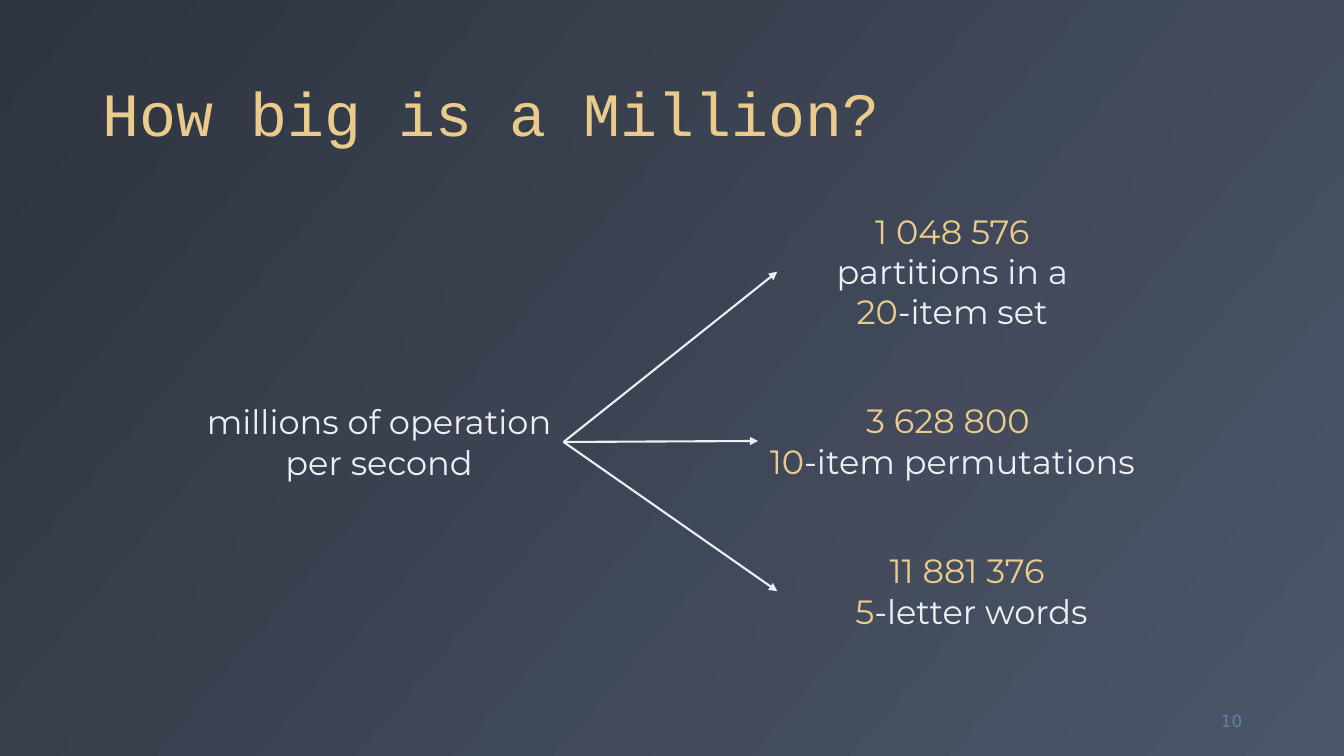
from dataclasses import dataclass

from lxml.etree import SubElement
from pptx import Presentation
from pptx.dml.color import RGBColor as Rgb
from pptx.enum.shapes import MSO_CONNECTOR as Connector
from pptx.enum.text import MSO_ANCHOR as Anchor, MSO_AUTO_SIZE as AutoSize, PP_ALIGN as Align
from pptx.oxml.ns import qn
from pptx.util import Inches, Pt


@dataclass(frozen=True)
class Theme:
    dark: str = "2E3440"
    slate: str = "4C5669"
    gold: str = "EBCB8B"
    light: str = "ECEFF3"
    blue: str = "5E81AC"
    title_font: str = "Courier New"
    body_font: str = "Montserrat"
    number_font: str = "DejaVu Sans"
    title_size: int = 44
    body_size: int = 24
    number_size: int = 12
    line_width: float = 1.5


THEME = Theme()
GOLD, LIGHT = THEME.gold, THEME.light
BREAK = None  # a line break inside a paragraph

# Content: each box is (left, top, width, height) and paragraphs of (text, colour) runs
TITLE = "How big is a Million?"
TITLE_FRAME = (0.92, 0.18, 11.5, 1.36)
PAGE_NUMBER = "10"
NUMBER_FRAME = (11.59, 6.95, 0.83, 0.4)
SPEED = (
    (1.93, 3.93, 3.66, 0.91),
    [[("millions of operation", LIGHT)], [("per second", LIGHT)]],
)
EXAMPLES = [
    (
        (7.71, 2.04, 3.47, 1.31),
        [
            [("1 048 576", GOLD)],
            [("partitions in a", LIGHT), BREAK, ("20", GOLD), ("-item set", LIGHT)],
        ],
    ),
    (
        (7.52, 3.92, 3.85, 0.91),
        [[("3 628 800 ", GOLD)], [("10", GOLD), ("-item permutations", LIGHT)]],
    ),
    (
        (7.71, 5.41, 3.85, 0.91),
        [[("11 881 376 ", GOLD)], [("5", GOLD), ("-letter words", LIGHT)]],
    ),
]


def add_span(para, text, font, size, color):
    span = para.add_run()
    span.text = text
    span.font.name = font
    span.font.size = Pt(size)
    span.font.color.rgb = Rgb.from_string(color)


def add_label(page, frame, paragraphs, wrap=True):
    box = page.shapes.add_textbox(*map(Inches, frame))
    text = box.text_frame
    text.word_wrap = wrap
    text.auto_size = AutoSize.SHAPE_TO_FIT_TEXT
    for index, runs in enumerate(paragraphs):
        para = text.add_paragraph() if index else text.paragraphs[0]
        para.alignment = Align.CENTER
        for run in runs:
            if run is BREAK:
                para.add_line_break()
            else:
                add_span(para, run[0], THEME.body_font, THEME.body_size, run[1])
    return box


def add_arrow(page, source, target):
    """Join the right middle of one box to the left middle of another."""
    arrow = page.shapes.add_connector(
        Connector.STRAIGHT,
        source.left + source.width,
        source.top + source.height // 2,
        target.left,
        target.top + target.height // 2,
    )
    arrow.line.color.rgb = Rgb.from_string(LIGHT)
    arrow.line.width = Pt(THEME.line_width)
    SubElement(arrow.line._get_or_add_ln(), qn("a:tailEnd"), type="triangle")
    SubElement(arrow._element.spPr, qn("a:effectLst"))


def main():
    deck = Presentation()
    deck.slide_width, deck.slide_height = Inches(13.33), Inches(7.5)
    page = deck.slides.add_slide(deck.slide_layouts[5])

    # Background, dark at top left
    fill = page.background.fill
    fill.gradient()
    fill.gradient_angle = 320
    for stop, color in zip(fill.gradient_stops, (THEME.dark, THEME.slate)):
        stop.color.rgb = Rgb.from_string(color)

    # Title
    title = page.shapes.title
    title.left, title.top, title.width, title.height = map(Inches, TITLE_FRAME)
    title.text_frame.vertical_anchor = Anchor.BOTTOM
    para = title.text_frame.paragraphs[0]
    para.alignment = Align.LEFT
    para.line_spacing = 0.9
    add_span(para, TITLE, THEME.title_font, THEME.title_size, GOLD)

    # Page number
    number = page.shapes.add_textbox(*map(Inches, NUMBER_FRAME))
    number.text_frame.word_wrap = True
    number.text_frame.vertical_anchor = Anchor.MIDDLE
    para = number.text_frame.paragraphs[0]
    para.alignment = Align.RIGHT
    add_span(para, PAGE_NUMBER, THEME.number_font, THEME.number_size, THEME.blue)

    # Speed on the left, examples on the right, arrows between
    speed = add_label(page, *SPEED, wrap=False)
    examples = [add_label(page, *example) for example in EXAMPLES]
    for example in examples:
        add_arrow(page, speed, example)

    deck.save("out.pptx")


if __name__ == "__main__":
    main()
